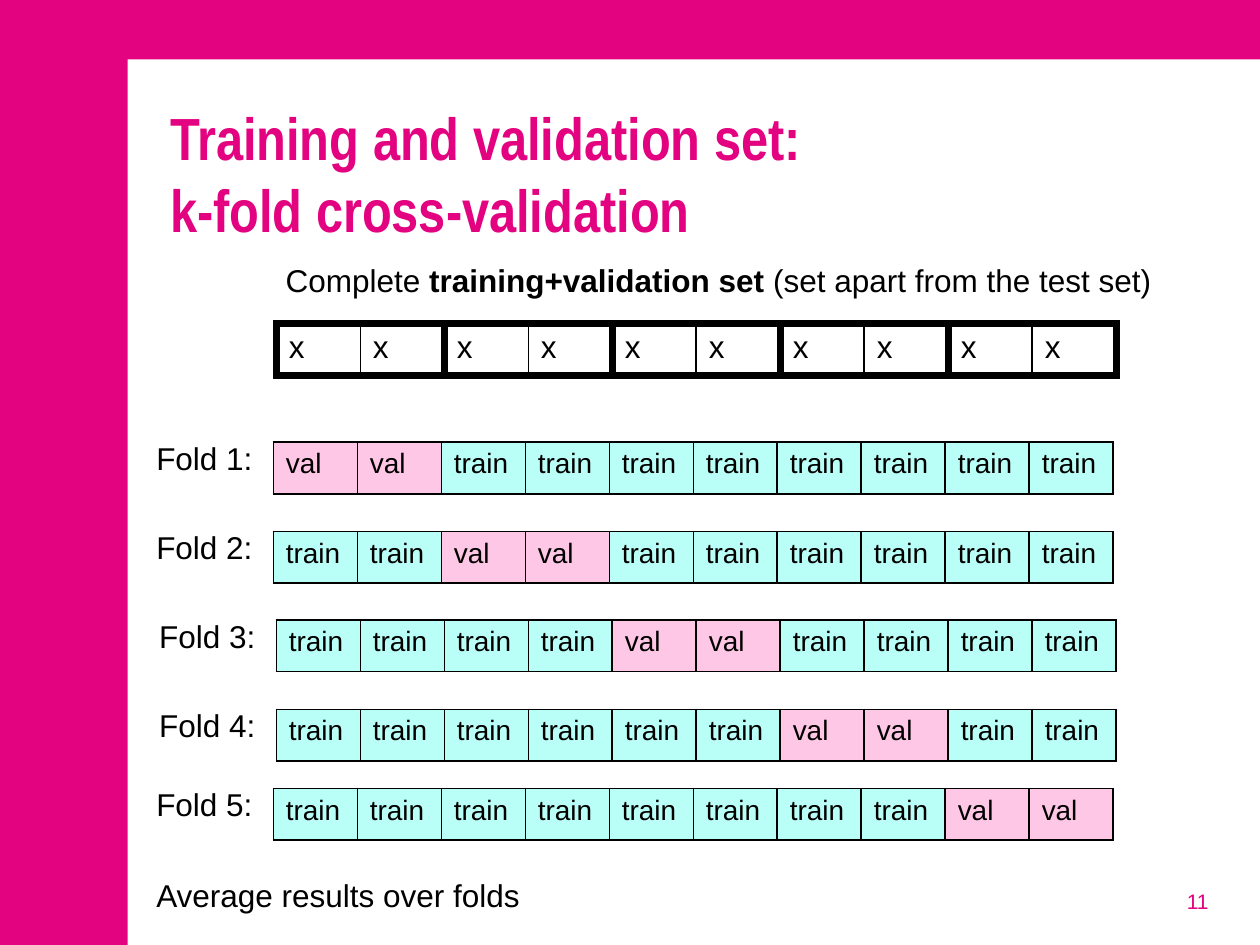
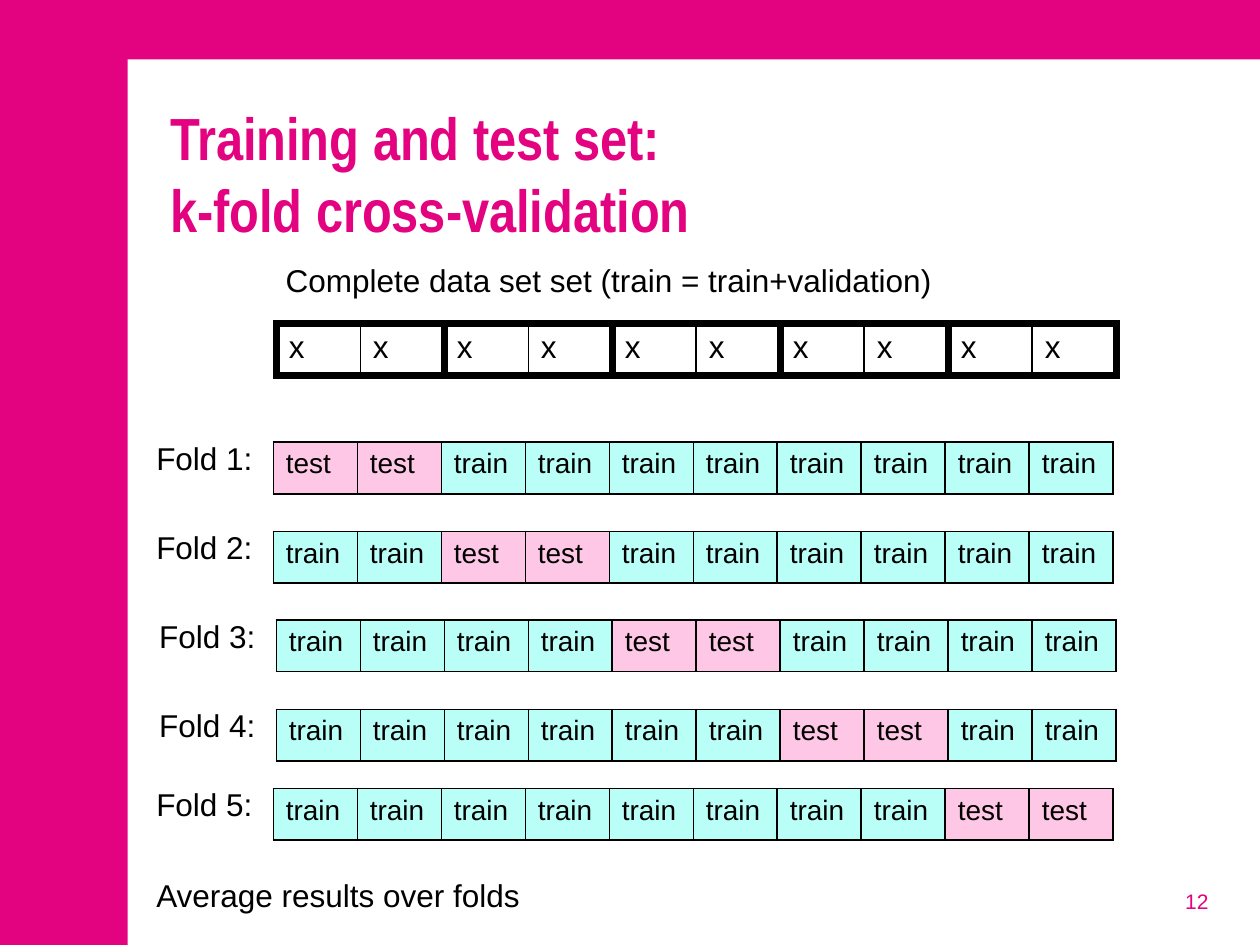
import lxml.etree
import pptx
import pptx.dml.color
import pptx.enum.shapes
import pptx.enum.text
import pptx.oxml.ns
import pptx.util

Pt = pptx.util.Pt
COLORS = {
    "accent": "E3027F",
    "panel": "FFFFFF",
    "text": "000000",
    "held_out": "FFC7E6",
    "train": "B9FFF7",
}
CELLS = 10
CELL_W = 48
ROW_H = 29.5
PER_FOLD = 2
THICK = 4.5
THIN = 1
FOLDS = [(156.2, 252.7), (156.2, 303.8), (157.9, 354.2), (157.9, 405.3), (156.2, 450.6)]
SLIDES = [
    (
        "Training and validation set:\nk-fold cross-validation",
        [("Complete ", False), ("training+validation set ", True),
         ("(set apart from the test set)", False)],
        "val",
        11,
    ),
    (
        "Training and test set:\nk-fold cross-validation",
        [("Complete data set set (train = train+validation)", False)],
        "test",
        12,
    ),
]


def rgb(name):
    return pptx.dml.color.RGBColor.from_string(COLORS[name])


def write(tf, text, size=18, font="Arial", color="text", bold=False, align="LEFT"):
    p = tf.paragraphs[0]
    p.alignment = getattr(pptx.enum.text.PP_ALIGN, align)
    parts = [(text, bold)] if isinstance(text, str) else text
    for part, part_bold in parts:
        for i, line in enumerate(part.split("\n")):
            if i:
                p.add_line_break()
            r = p.add_run()
            r.text = line
            r.font.size = Pt(size)
            r.font.name = font
            r.font.bold = part_bold
            r.font.color.rgb = rgb(color)


def add_text(slide, text, left, top, width, height=29, anchor="TOP", **fmt):
    sp = slide.shapes.add_textbox(Pt(left), Pt(top), Pt(width), Pt(height))
    tf = sp.text_frame
    tf.word_wrap = True
    tf.vertical_anchor = getattr(pptx.enum.text.MSO_ANCHOR, anchor)
    write(tf, text, **fmt)


def add_title(slide, text):
    sp = slide.shapes.title
    sp.left, sp.top, sp.width, sp.height = Pt(90), Pt(50.4), Pt(607.7), Pt(96.5)
    tf = sp.text_frame
    tf.word_wrap = True
    tf.auto_size = pptx.enum.text.MSO_AUTO_SIZE.NONE
    tf.vertical_anchor = pptx.enum.text.MSO_ANCHOR.MIDDLE
    write(tf, text, size=34, font="Arial Narrow", color="accent", bold=True)


def add_panel(slide):
    sp = slide.shapes.add_shape(
        pptx.enum.shapes.MSO_SHAPE.RECTANGLE, Pt(73), Pt(34), Pt(647), Pt(506))
    sp.shadow.inherit = False
    sp.fill.solid()
    sp.fill.fore_color.rgb = rgb("panel")
    sp.line.fill.background()
    slide.shapes.title.element.addprevious(sp.element)


def set_borders(cell, left, right, top, bottom):
    tc_pr = cell._tc.get_or_add_tcPr()
    qn = pptx.oxml.ns.qn
    for side, width in zip("LRTB", (left, right, top, bottom)):
        ln = lxml.etree.SubElement(tc_pr, qn(f"a:ln{side}"), w=str(int(Pt(width))))
        fill = lxml.etree.SubElement(ln, qn("a:solidFill"))
        lxml.etree.SubElement(fill, qn("a:srgbClr"), val=COLORS["text"])


def add_row(slide, left, top, labels, size, fills, borders):
    table = slide.shapes.add_table(
        1, CELLS, Pt(left), Pt(top), Pt(CELLS * CELL_W), Pt(ROW_H)).table
    table.first_row = False
    table.horz_banding = False
    table.rows[0].height = Pt(ROW_H)
    for i, (label, fill, widths) in enumerate(zip(labels, fills, borders)):
        table.columns[i].width = Pt(CELL_W)
        cell = table.cell(0, i)
        set_borders(cell, *widths)
        if fill:
            cell.fill.solid()
            cell.fill.fore_color.rgb = rgb(fill)
        else:
            cell.fill.background()
        write(cell.text_frame, label, size=size)


def add_data_set(slide):
    pair = [(THICK, THIN, THICK, THICK), (THIN, THICK, THICK, THICK)]
    add_row(slide, 157.9, 185, ["x"] * CELLS, 18, [None] * CELLS, pair * (CELLS // 2))


def add_fold(slide, index, left, top, held_out):
    is_held_out = [i // PER_FOLD == index for i in range(CELLS)]
    labels = [held_out if out else "train" for out in is_held_out]
    fills = ["held_out" if out else "train" for out in is_held_out]
    add_row(slide, left, top, labels, 16, fills, [(THIN,) * 4] * CELLS)
    add_text(slide, f"Fold {index + 1}:", left - 74, top - 5.4, 414)


def add_slide(prs, title, caption, held_out, number):
    slide = prs.slides.add_slide(prs.slide_layouts[5])
    add_panel(slide)
    add_title(slide, title)
    add_text(slide, str(number), 530, 500.4, 167.7, anchor="MIDDLE",
             size=12, color="accent", align="RIGHT")
    add_data_set(slide)
    add_text(slide, caption, 156.2, 145.5, 521.3)
    for index, (left, top) in enumerate(FOLDS):
        add_fold(slide, index, left, top, held_out)
    add_text(slide, "Average results over folds", 82.2, 497, 312)


def main():
    prs = pptx.Presentation()
    prs.slide_width, prs.slide_height = Pt(720), Pt(540)
    background = prs.slide_master.background.fill
    background.solid()
    background.fore_color.rgb = rgb("accent")
    for content in SLIDES:
        add_slide(prs, *content)
    prs.save("out.pptx")


if __name__ == "__main__":
    main()
